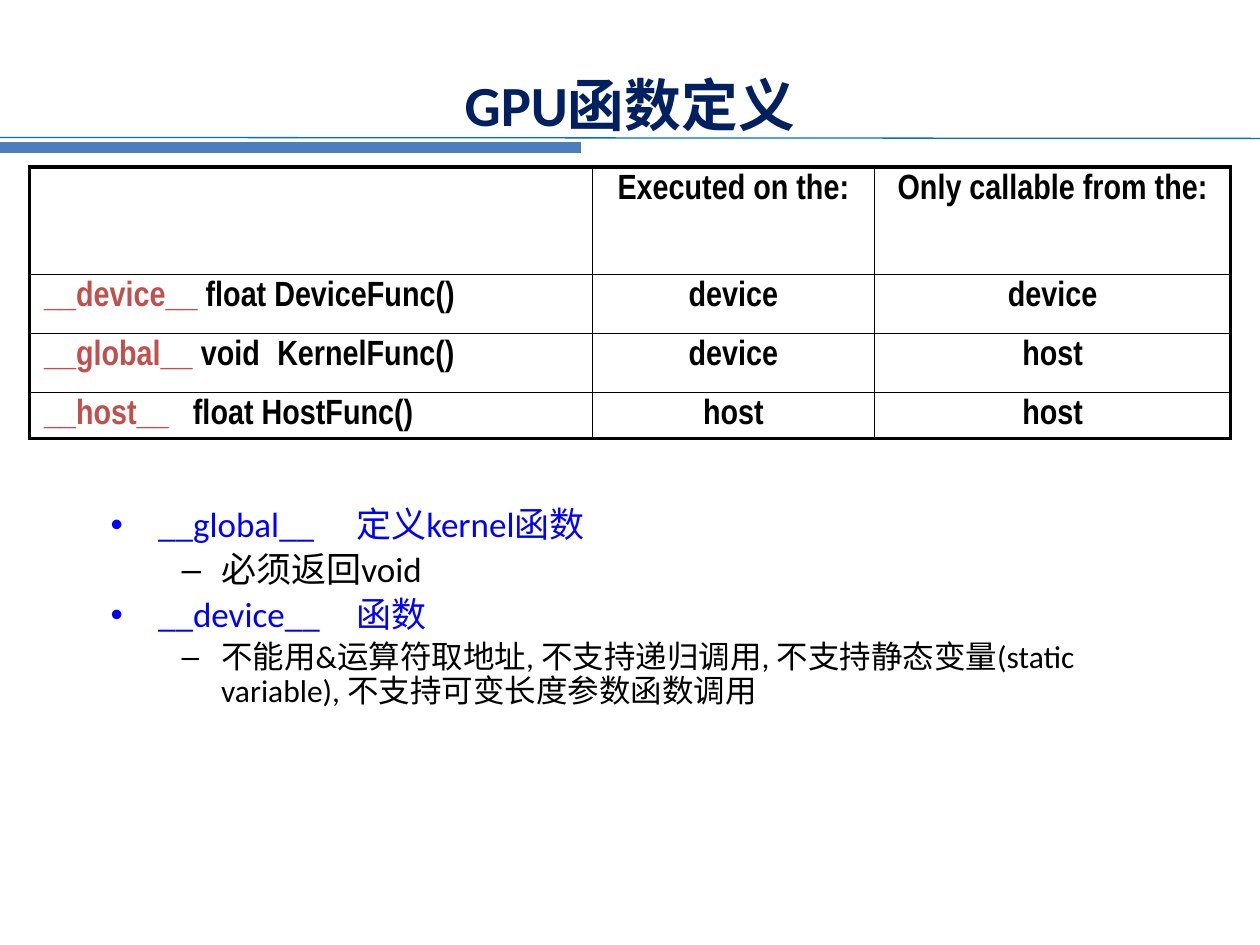
from lxml import etree
from pptx import Presentation
from pptx.dml.color import RGBColor
from pptx.enum.shapes import MSO_CONNECTOR
from pptx.enum.text import MSO_ANCHOR, PP_ALIGN
from pptx.oxml.ns import qn
from pptx.util import Cm, Pt

STRAIGHT = MSO_CONNECTOR.STRAIGHT
MIDDLE = MSO_ANCHOR.MIDDLE
LEFT, CENTER = PP_ALIGN.LEFT, PP_ALIGN.CENTER

BLACK = RGBColor(0, 0, 0)
NAVY = RGBColor(0x00, 0x20, 0x60)
RED = RGBColor(0xC0, 0x50, 0x4D)
BLUE = RGBColor(0x00, 0x00, 0xFF)
SKY = RGBColor(0x00, 0x70, 0xC0)
STEEL = RGBColor(0x4B, 0x7E, 0xBC)

WIDE, THIN = Pt(2.25), Pt(1)
COLS = (11.35, 5.69, 7.18)
ROWS = (2.16, 1.19, 1.19, 0.86)
CELLS = (
    ((), "Executed on the:", "Only callable from the:"),
    (("__device__", " float DeviceFunc()"), "device", "device"),
    (("__global__", " void\tKernelFunc()"), "device", "host"),
    (("__host__", "\tfloat HostFunc()"), "host", "host"),
)
TABS = (None, None, 4.7, 3)
NOTES = (
    ("__global__\t定义kernel函数", 0, 20),
    ("必须返回void", 1, 20),
    ("__device__\t函数", 0, 20),
    ("不能用&运算符取地址, 不支持递归调用, 不支持静态变量(static variable), "
     "不支持可变长度参数函数调用", 1, 18),
)
LEVELS = (("•", 0.96, -0.96, BLUE), ("–", 2.23, -0.8, BLACK))


def write(para, *parts, size=20, face="Calibri", bold=False, align=LEFT,
          mark=None, left=0, hang=0, tab=None):
    props = para._p.get_or_add_pPr()
    if mark:
        props.set("marL", str(Cm(left)))
        props.set("indent", str(Cm(hang)))
        etree.SubElement(props, qn("a:buFont"), typeface="Arial")
        etree.SubElement(props, qn("a:buChar"), char=mark)
    if tab:
        stops = etree.SubElement(props, qn("a:tabLst"))
        etree.SubElement(stops, qn("a:tab"), pos=str(Cm(tab)), algn="l")
    para.alignment = align
    for text, color in parts:
        run = para.add_run()
        run.text = text
        run.font.size = Pt(size)
        run.font.name = face
        run.font.bold = bold
        run.font.color.rgb = color


def add_rule(slide, start, end, color, width):
    rule = slide.shapes.add_connector(STRAIGHT, *map(Cm, start + end))
    rule.line.color.rgb = color
    rule.line.width = Pt(width)
    etree.SubElement(rule._element.spPr, qn("a:effectLst"))


def frame_cell(cell, **sides):
    props = cell._tc.get_or_add_tcPr()
    for side in "LRTB":
        line = etree.SubElement(props, qn("a:ln" + side), w=str(sides[side]))
        fill = etree.SubElement(line, qn("a:solidFill"))
        etree.SubElement(fill, qn("a:srgbClr"), val=str(BLACK))
    cell.fill.background()


def add_grid(slide):
    grid = slide.shapes.add_table(
        len(ROWS), len(COLS), Cm(0.59), Cm(3.37), Cm(sum(COLS)), Cm(sum(ROWS))).table
    grid.first_row = grid.horz_banding = False
    for col, width in zip(grid.columns, COLS):
        col.width = Cm(width)
    for r, (row, high) in enumerate(zip(grid.rows, ROWS)):
        row.height = Cm(high)
        for c, (cell, text) in enumerate(zip(row.cells, CELLS[r])):
            cell.margin_left = cell.margin_right = Cm(0.3)
            cell.margin_top = cell.margin_bottom = Cm(0.13)
            frame_cell(cell,
                       L=WIDE if c == 0 else THIN,
                       R=WIDE if c == len(COLS) - 1 else THIN,
                       T=WIDE if r == 0 else THIN,
                       B=WIDE if r == len(ROWS) - 1 else THIN)
            parts = zip(text, (RED, BLACK)) if c == 0 else [(text, BLACK)]
            write(cell.text_frame.paragraphs[0], *parts, face="Arial Narrow",
                  bold=True, align=CENTER if c else LEFT,
                  tab=None if c else TABS[r])


def add_notes(slide):
    box = slide.shapes.add_textbox(Cm(1.98), Cm(10.11), Cm(21.79), Cm(5.23))
    frame = box.text_frame
    frame.word_wrap = True
    for i, (text, level, size) in enumerate(NOTES):
        para = frame.add_paragraph() if i else frame.paragraphs[0]
        mark, left, hang, color = LEVELS[level]
        para.level = level
        write(para, (text, color), size=size, mark=mark, left=left, hang=hang,
              tab=4.95 if "\t" in text else None)
        para.line_spacing = 0.9
        if i:
            para.space_before = Pt(size * 0.2)


def set_title(slide):
    title = slide.shapes.title
    title.left, title.top = Cm(0.59), Cm(1.4)
    title.width, title.height = Cm(24.21), Cm(1.4)
    frame = title.text_frame
    frame.vertical_anchor = MIDDLE
    write(frame.paragraphs[0], ("GPU函数定义", NAVY), size=32.4, bold=True,
          align=CENTER)


def main():
    deck = Presentation()
    deck.slide_width, deck.slide_height = Cm(25.4), Cm(19.05)
    slide = deck.slides.add_slide(deck.slide_layouts[5])
    add_rule(slide, (0, 2.77), (25.4, 2.79), SKY, 0.75)
    add_rule(slide, (0, 2.97), (11.71, 2.97), STEEL, 6)
    set_title(slide)
    add_grid(slide)
    add_notes(slide)
    deck.save("out.pptx")


if __name__ == "__main__":
    main()
